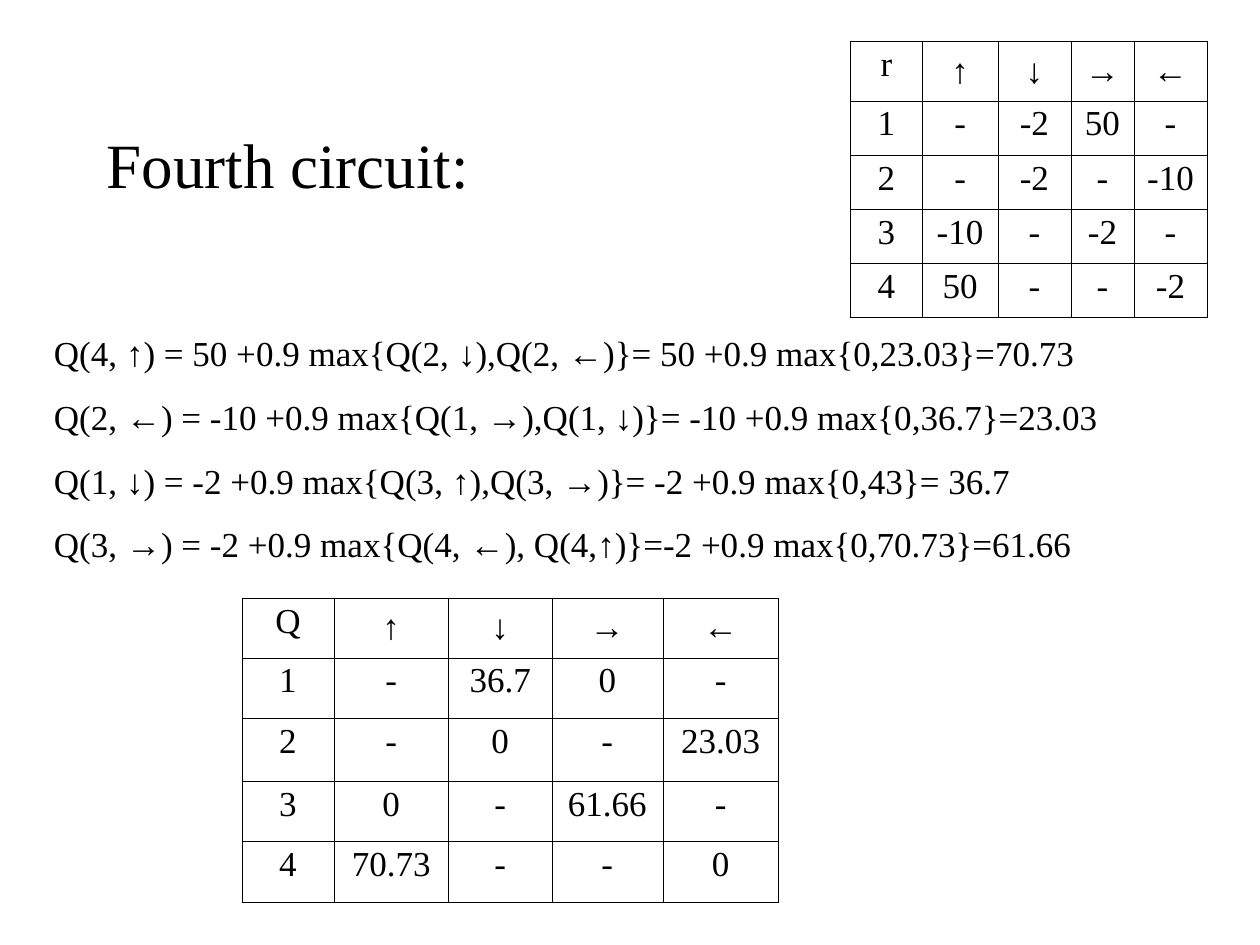
from dataclasses import dataclass
from itertools import groupby

from lxml import etree
from pptx import Presentation
from pptx.dml.color import RGBColor
from pptx.enum.text import MSO_ANCHOR, PP_ALIGN
from pptx.oxml.ns import qn
from pptx.util import Inches, Pt

TOP, MIDDLE = MSO_ANCHOR.TOP, MSO_ANCHOR.MIDDLE
LEFT, CENTER = PP_ALIGN.LEFT, PP_ALIGN.CENTER
ARROWS = "↑↓→←"


@dataclass(frozen=True)
class Theme:
    ink: str = "000000"
    font: str = "Times New Roman"
    sign: str = "Arial"
    head: int = 36
    body: int = 20
    rule: float = 0.23


THEME = Theme()

STEPS = [
    "Q(4, ↑) = 50 +0.9 max{Q(2, ↓),Q(2, ←)}= 50 +0.9 max{0,23.03}=70.73",
    "Q(2, ←) = -10 +0.9 max{Q(1, →),Q(1, ↓)}= -10 +0.9 max{0,36.7}=23.03",
    "Q(1, ↓) = -2 +0.9 max{Q(3, ↑),Q(3, →)}= -2 +0.9 max{0,43}= 36.7",
    "Q(3, →) = -2 +0.9 max{Q(4, ←), Q(4,↑)}=-2 +0.9 max{0,70.73}=61.66",
]
REWARD = [
    ["r", *ARROWS],
    ["1", "-", "-2", "50", "-"],
    ["2", "-", "-2", "-", "-10"],
    ["3", "-10", "-", "-2", "-"],
    ["4", "50", "-", "-", "-2"],
]
VALUE = [
    ["Q", *ARROWS],
    ["1", "-", "36.7", "0", "-"],
    ["2", "-", "0", "-", "23.03"],
    ["3", "0", "-", "61.66", "-"],
    ["4", "70.73", "-", "-", "0"],
]


def apply(item, form):
    for name, value in form.items():
        setattr(item, name, value)


def write(par, text, size, form):
    """Fill a paragraph, with arrows in the sign font."""
    apply(par, form)
    for arrow, chars in groupby(text, lambda char: char in ARROWS):
        run = par.add_run()
        run.text = "".join(chars)
        apply(run.font, {"name": THEME.sign if arrow else THEME.font,
                         "size": Pt(size)})
        run.font.color.rgb = RGBColor.from_string(THEME.ink)


def add_text(slide, box, lines, size, anchor=TOP, gap=0):
    frame = slide.shapes.add_textbox(*map(Inches, box)).text_frame
    apply(frame, {"word_wrap": True, "vertical_anchor": anchor})
    for i, line in enumerate(lines):
        par = frame.add_paragraph() if i else frame.paragraphs[0]
        write(par, line, size, {"alignment": LEFT, "space_before": Pt(gap)})


def add_edges(cell):
    """Draw thin rules on all four sides, ahead of the cell fill."""
    props = cell._tc.get_or_add_tcPr()
    for i, side in enumerate(("a:lnL", "a:lnR", "a:lnT", "a:lnB")):
        line = etree.Element(qn(side), w=str(Pt(THEME.rule)))
        fill = etree.SubElement(line, qn("a:solidFill"))
        etree.SubElement(fill, qn("a:srgbClr"), val=THEME.ink)
        props.insert(i, line)


def add_grid(slide, left, top, cols, rows, data):
    box = map(Inches, (left, top, sum(cols), sum(rows)))
    table = slide.shapes.add_table(len(rows), len(cols), *box).table
    apply(table, {"first_row": False, "horz_banding": False})
    for col, width in zip(table.columns, cols):
        col.width = Inches(width)
    for row, height, texts in zip(table.rows, rows, data):
        row.height = Inches(height)
        for cell, text in zip(row.cells, texts):
            cell.fill.background()
            add_edges(cell)
            # Arrow cells have wider line spacing
            write(cell.text_frame.paragraphs[0], text, THEME.body, {
                "alignment": CENTER, "space_before": Pt(5),
                "line_spacing": 1.09 if text in ARROWS else 0.93})


def main():
    deck = Presentation()
    apply(deck, {"slide_width": Inches(10), "slide_height": Inches(7.5)})
    slide = deck.slides.add_slide(deck.slide_layouts[6])

    # Title and update steps
    add_text(slide, (0.75, 0.67, 8.5, 1.25), ["Fourth circuit:"],
             THEME.head, MIDDLE)
    add_text(slide, (0.33, 2.58, 9.67, 1.96), STEPS, THEME.body, gap=12.5)

    # Reward table and Q table
    add_grid(slide, 6.75, 0.33, [0.57, 0.6, 0.58, 0.5, 0.58],
             [0.47] + [0.43] * 4, REWARD)
    add_grid(slide, 1.92, 4.75, [0.73, 0.91, 0.82, 0.88, 0.92],
             [0.47, 0.48, 0.5, 0.48, 0.48], VALUE)

    deck.save("out.pptx")


if __name__ == "__main__":
    main()
